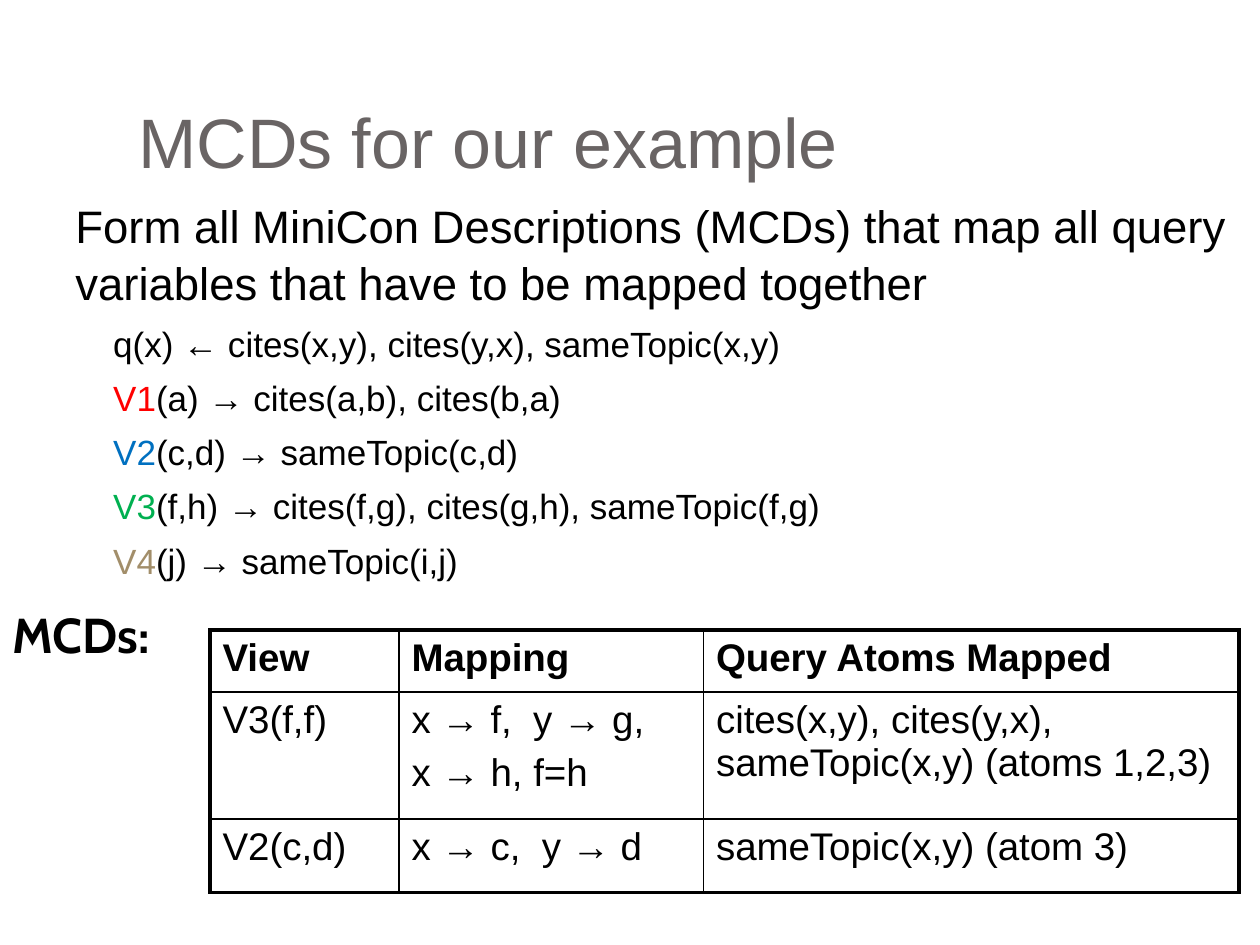
from pptx import Presentation
from pptx.dml.color import RGBColor
from pptx.enum.text import MSO_ANCHOR
from pptx.oxml.ns import qn
from pptx.util import Inches, Pt
from lxml import etree

BOTTOM, TOP = MSO_ANCHOR.BOTTOM, MSO_ANCHOR.TOP
UNIT = Inches(10) / 120  # the slide is a grid of 120 columns by 90 rows
COLORS = {
    "title": "696464", "text": "000000", "border": "000000",
    "V1": "FF0000", "V2": "0070C0", "V3": "00B050", "V4": "A28E6A",
}
PARAGRAPH_GAP = Pt(5.8)
THICK, THIN = Pt(2.25), Pt(1)

INTRO = ("Form all MiniCon Descriptions (MCDs) that map all query "
         "variables that have to be mapped together")
QUERY = "q(x) ← cites(x,y), cites(y,x), sameTopic(x,y)"
VIEWS = {
    "V1": "(a) → cites(a,b), cites(b,a)",
    "V2": "(c,d) → sameTopic(c,d)",
    "V3": "(f,h) → cites(f,g), cites(g,h), sameTopic(f,g)",
    "V4": "(j) → sameTopic(i,j)",
}
# Each cell is a list of paragraphs; "\n" is a line break.
MCD_ROWS = [
    [["View"], ["Mapping"], ["Query Atoms Mapped"]],
    [["V3(f,f)"], ["x → f,  y → g,", "x → h, f=h"],
     ["cites(x,y), cites(y,x),\nsameTopic(x,y) (atoms 1,2,3)"]],
    [["V2(c,d)"], ["x → c,  y → d"], ["sameTopic(x,y) (atom 3)"]],
]
MCD_COLUMNS = (18, 29, 51)
MCD_HEIGHTS = (5.9, 12.1, 7)


def grid(*cells):
    return [round(cell * UNIT) for cell in cells]


def add_run(paragraph, text, size, color="text", font="Arial", bold=False):
    run = paragraph.add_run()
    run.text = text
    run.font.name = font
    run.font.size = Pt(size)
    run.font.bold = bold
    run.font.color.rgb = RGBColor.from_string(COLORS[color])


def next_paragraph(frame, first):
    paragraph = frame.paragraphs[0] if first else frame.add_paragraph()
    paragraph.space_before = PARAGRAPH_GAP
    return paragraph


def add_frame(slide, box, anchor=TOP):
    frame = slide.shapes.add_textbox(*grid(*box)).text_frame
    frame.word_wrap = True
    frame.vertical_anchor = anchor
    return frame


def add_title(slide, box):
    frame = add_frame(slide, box, BOTTOM)
    frame.margin_bottom = Inches(0.1)
    add_run(frame.paragraphs[0], "MCDs for our example", 40, "title")


def add_definitions(slide, box):
    """Introduction, then the query and the views indented below it."""
    frame = add_frame(slide, box)
    lines = [[(INTRO, 26, "text")], [(QUERY, 20, "text")]]
    lines += [[(view, 20, view), (rule, 20, "text")] for view, rule in VIEWS.items()]
    for index, runs in enumerate(lines):
        paragraph = next_paragraph(frame, index == 0)
        paragraph.line_spacing = 1.05
        if index:
            paragraph._p.get_or_add_pPr().set("marL", str(Inches(0.3)))
        for run in runs:
            add_run(paragraph, *run)


def add_label(slide, box):
    frame = add_frame(slide, box)
    add_run(frame.paragraphs[0], "MCDs:", 28, font="Cabin", bold=True)


def set_borders(cell, widths):
    """Draw the left, right, top and bottom lines of a cell, in that order."""
    properties = cell._tc.get_or_add_tcPr()
    for index, (side, width) in enumerate(zip("LRTB", widths)):
        line = etree.Element(qn(f"a:ln{side}"), w=str(width))
        fill = etree.SubElement(line, qn("a:solidFill"))
        etree.SubElement(fill, qn("a:srgbClr"), val=COLORS["border"])
        properties.insert(index, line)


def fill_cell(cell, paragraphs, bold):
    for index, text in enumerate(paragraphs):
        paragraph = next_paragraph(cell.text_frame, index == 0)
        for number, line in enumerate(text.split("\n")):
            if number:
                paragraph.add_line_break()
            add_run(paragraph, line, 22, bold=bold)


def add_mcd_table(slide, box):
    last_row, last_column = len(MCD_ROWS) - 1, len(MCD_COLUMNS) - 1
    table = slide.shapes.add_table(last_row + 1, last_column + 1, *grid(*box)).table
    table.first_row = table.horz_banding = False
    for column, width in zip(table.columns, grid(*MCD_COLUMNS)):
        column.width = width
    for row, height in zip(table.rows, grid(*MCD_HEIGHTS)):
        row.height = height
    for r, row in enumerate(MCD_ROWS):
        for c, paragraphs in enumerate(row):
            cell = table.cell(r, c)
            cell.fill.background()
            fill_cell(cell, paragraphs, bold=r == 0)
            outer = (c == 0, c == last_column, r == 0, r == last_row)
            set_borders(cell, [THICK if edge else THIN for edge in outer])


def main():
    deck = Presentation()
    deck.slide_width, deck.slide_height = grid(120, 90)
    slide = deck.slides.add_slide(deck.slide_layouts[6])
    add_title(slide, (12, 3.6, 102, 15))
    add_definitions(slide, (6, 18, 114, 37))
    add_label(slide, (0, 57, 19, 6.8))
    add_mcd_table(slide, (20, 60, sum(MCD_COLUMNS), sum(MCD_HEIGHTS)))
    deck.save("out.pptx")


if __name__ == "__main__":
    main()
